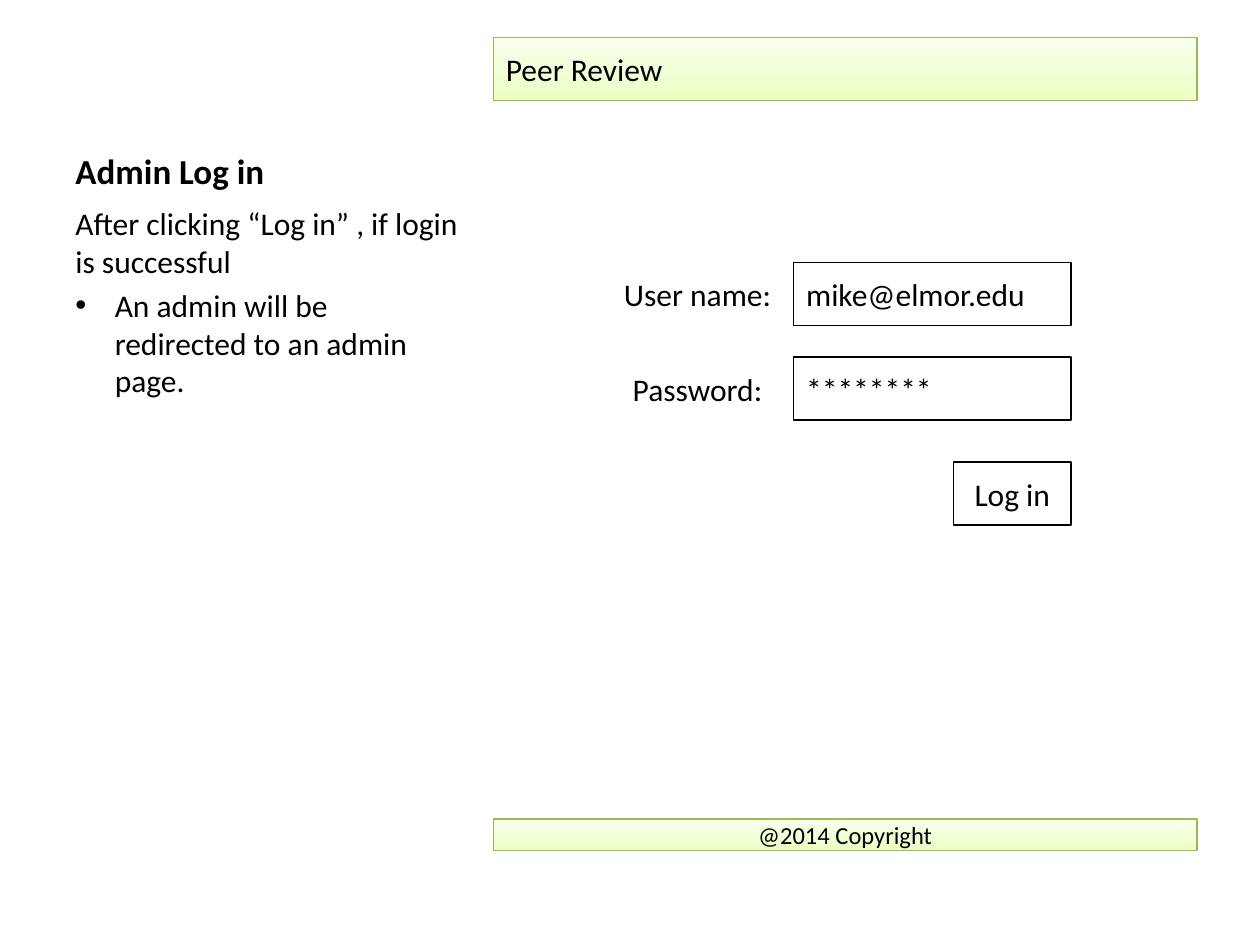
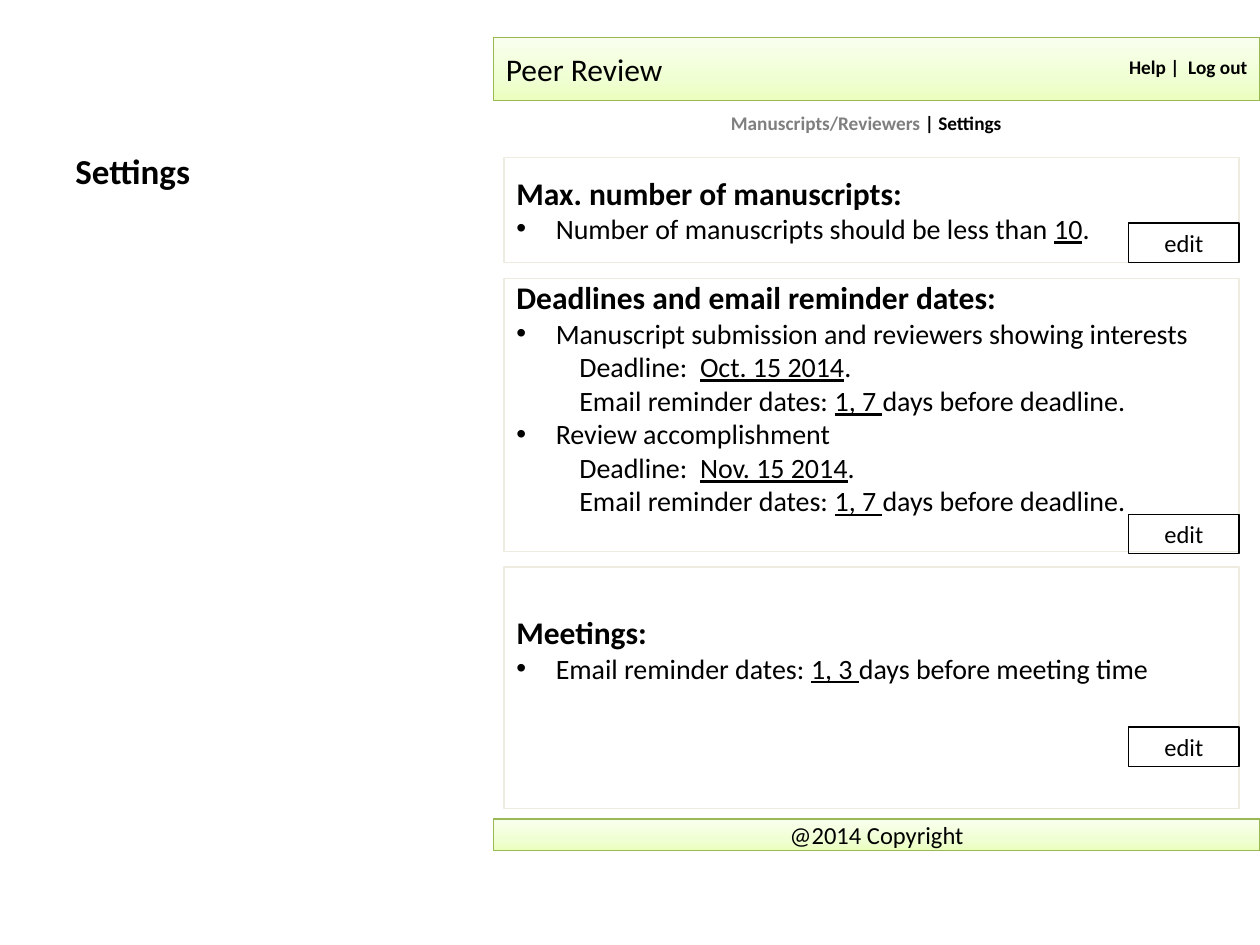
from lxml import etree
from copy import deepcopy
from pptx import Presentation
from pptx.dml.color import RGBColor
from pptx.enum.shapes import MSO_SHAPE
from pptx.enum.text import MSO_ANCHOR as ANCHOR, PP_ALIGN as ALIGN
from pptx.oxml.ns import qn
from pptx.util import Pt

BLACK, GREY, GREEN, PALE = "000000", "7F7F7F", "98B954", "EEECE1"
BAND_STOPS = [(0, "EBFFBF"), (0.35, "F0FFD3"), (1, "F9FFEF")]
FONT = "Calibri"

# Underscores enclose underlined words.
LOGIN = {
    "title": "Admin Log in",
    "body": [("plain", "After clicking “Log in” , if login is successful"),
             ("bullet", "An admin will be redirected to an admin page.")],
    "fields": [("User name: ", "mike@elmor.edu"), ("Password: ", "********")],
    "button": "Log in",
}
REMINDER = ("detail", "Email reminder dates: _1, 7 _days before deadline.")
# top, height, space above the text, top of the edit button, heading, lines
PANELS = [
    (90, 60, 9.2, 127.5, "Max. number of manuscripts:",
     [("bullet", "Number of manuscripts should be less than _10_.")]),
    (159, 156, 0, 294, "Deadlines and email reminder dates:",
     [("bullet", "Manuscript submission and reviewers showing interests"),
      ("detail", "Deadline:  _Oct. 15 2014_."), REMINDER,
      ("bullet", "Review accomplishment"),
      ("detail", "Deadline:  _Nov. 15 2014_."), REMINDER]),
    (324, 138, 26.5, 415.5, "Meetings:",
     [("bullet", "Email reminder dates: _1, 3 _days before meeting time")]),
]
NAVIGATION = [("Manuscripts/Reviewers", GREY), (" | Settings", BLACK)]

INDENTS = {"plain": (0, 0), "bullet": (22.5, -22.5), "detail": (36, 0)}
SITE_LEFT = 282
FIELD_LEFT, FIELD_WIDTH, FIELD_TOP, FIELD_STEP = 453.6, 158.4, 150, 54
BUTTON_WIDTH = 67
PANEL_LEFT, PANEL_WIDTH = 288, 420
EDIT_WIDTH, EDIT_HEIGHT = 63, 22.5


def rgb(color):
    return RGBColor.from_string(color)


def set_indent(paragraph, kind):
    margin, first = INDENTS[kind]
    props = paragraph._p.get_or_add_pPr()
    props.set("marL", str(Pt(margin)))
    props.set("indent", str(Pt(first)))
    if kind == "bullet":
        etree.SubElement(props, qn("a:buFont")).set("typeface", "Arial")
        etree.SubElement(props, qn("a:buChar")).set("char", "•")


def write(paragraph, text, size=18, color=BLACK, bold=False):
    """Append text to a paragraph, underlining what underscores enclose."""
    for i, part in enumerate(text.split("_")):
        if part:
            run = paragraph.add_run()
            run.text = part
            font = run.font
            font.name, font.size, font.bold = FONT, Pt(size), bold
            font.color.rgb = rgb(color)
            if i % 2:
                font.underline = True


def set_text(shape, text="", align=ALIGN.LEFT, anchor=ANCHOR.MIDDLE, top=3.6, **font):
    frame = shape.text_frame
    frame.word_wrap = True
    frame.vertical_anchor = anchor
    frame.margin_left = frame.margin_right = Pt(7.2)
    frame.margin_top, frame.margin_bottom = Pt(top), Pt(3.6)
    first = frame.paragraphs[0]
    first.alignment = align
    write(first, text, **font)
    return frame


def add_lines(frame, lines, size, gap=0):
    for kind, text in lines:
        paragraph = frame.add_paragraph()
        paragraph.alignment = ALIGN.LEFT
        paragraph.space_before = Pt(gap)
        set_indent(paragraph, kind)
        write(paragraph, text, size)


def add_label(slide, box, text="", **layout):
    return set_text(slide.shapes.add_textbox(*map(Pt, box)), text, **layout)


def add_box(slide, box, text, line=BLACK, gradient=False, **layout):
    shape = slide.shapes.add_shape(MSO_SHAPE.RECTANGLE, *map(Pt, box))
    shape.shadow.inherit = False
    shape.line.color.rgb = rgb(line)
    shape.line.width = Pt(0.75)
    if gradient:
        fill_band(shape)
    else:
        shape.fill.background()
    return set_text(shape, text, **layout)


def fill_band(shape):
    fill = shape.fill
    fill.gradient()
    fill.gradient_angle = 90
    stop_list = next(shape.element.iter(qn("a:gsLst")))
    stop_list.append(deepcopy(stop_list[0]))
    for stop, (position, color) in zip(fill.gradient_stops, BAND_STOPS):
        stop.position = position
        stop.color.rgb = rgb(color)


def add_page(deck, title, site_width):
    """Add a slide with its title and the bands of the mocked-up site."""
    slide = deck.slides.add_slide(deck.slide_layouts[6])
    add_label(slide, (36, 21.6, 237, 91.4), title, size=20, bold=True,
              anchor=ANCHOR.BOTTOM)
    add_box(slide, (SITE_LEFT, 21.6, site_width, 36), "Peer Review",
            line=GREEN, gradient=True)
    add_box(slide, (SITE_LEFT, 468, site_width, 18), "@2014 Copyright",
            line=GREEN, gradient=True, size=14, align=ALIGN.CENTER)
    return slide


def build_login(deck):
    slide = add_page(deck, LOGIN["title"], 402)
    (_, opening), *rest = LOGIN["body"]
    body = add_label(slide, (36, 113, 237, 369), opening, anchor=ANCHOR.TOP)
    add_lines(body, rest, 18, gap=3.6)
    for i, (label, value) in enumerate(LOGIN["fields"]):
        top = FIELD_TOP + i * FIELD_STEP
        add_box(slide, (FIELD_LEFT, top, FIELD_WIDTH, 36), value)
        add_label(slide, (345.6, top, 110, 36), label, align=ALIGN.CENTER)
    button_left = FIELD_LEFT + FIELD_WIDTH - BUTTON_WIDTH
    add_box(slide, (button_left, 264, BUTTON_WIDTH, 36), LOGIN["button"],
            align=ALIGN.CENTER)


def build_settings(deck):
    slide = add_page(deck, "Settings", 438)
    navigation = add_label(slide, (294, 62, 402, 16), align=ALIGN.CENTER)
    for text, color in NAVIGATION:
        write(navigation.paragraphs[0], text, 11, color, bold=True)
    add_label(slide, (618, 30, 102, 16), "Help |  Log out", size=11, bold=True,
              align=ALIGN.RIGHT)
    edit_left = PANEL_LEFT + PANEL_WIDTH - EDIT_WIDTH
    for top, height, space, edit_top, heading, lines in PANELS:
        panel = add_box(slide, (PANEL_LEFT, top, PANEL_WIDTH, height), heading,
                        line=PALE, bold=True, anchor=ANCHOR.TOP, top=space)
        add_lines(panel, lines, 16)
        add_box(slide, (edit_left, edit_top, EDIT_WIDTH, EDIT_HEIGHT), "edit",
                size=14, align=ALIGN.CENTER)


def main():
    deck = Presentation()
    deck.slide_width, deck.slide_height = Pt(720), Pt(540)
    build_login(deck)
    build_settings(deck)
    deck.save("out.pptx")


if __name__ == "__main__":
    main()
